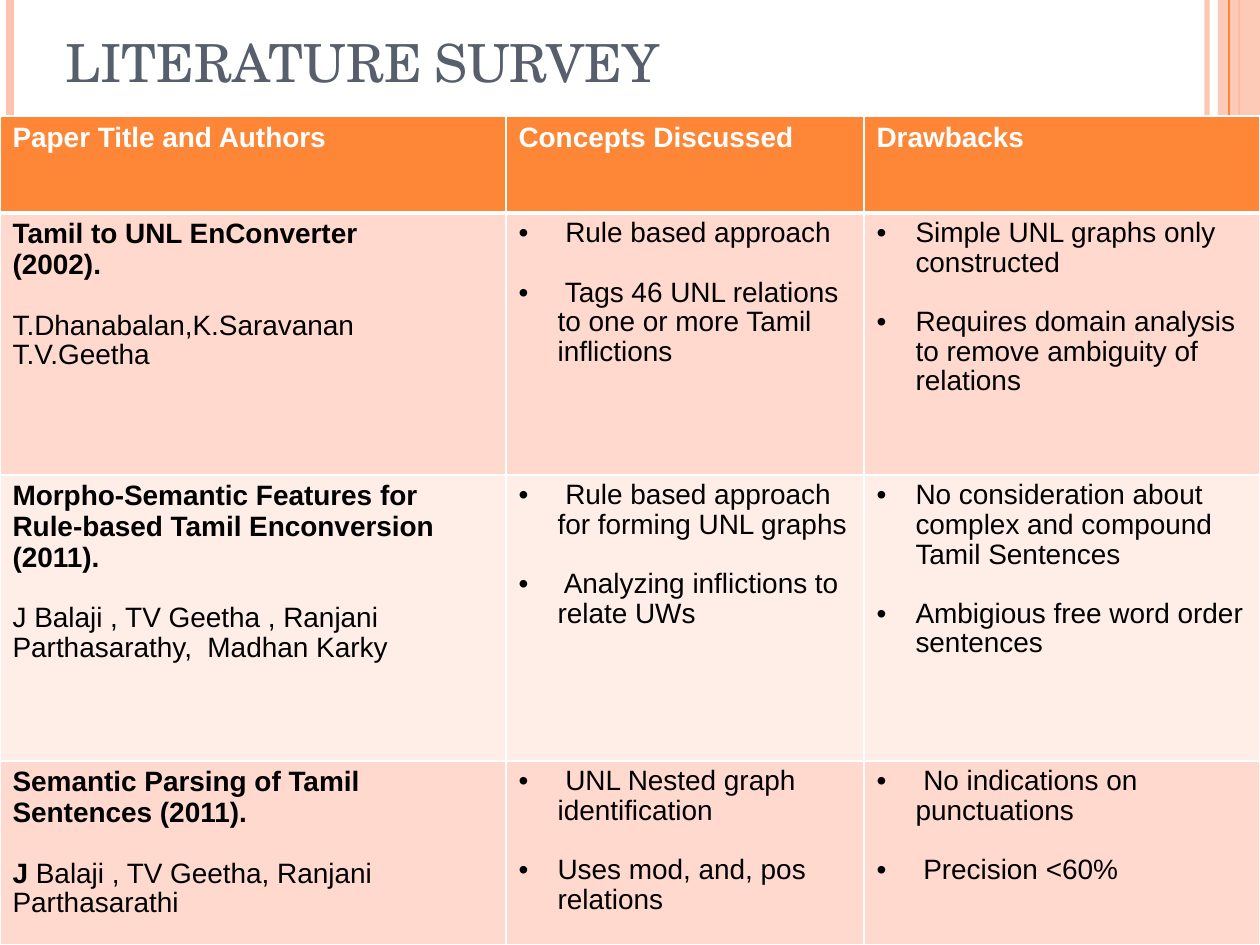
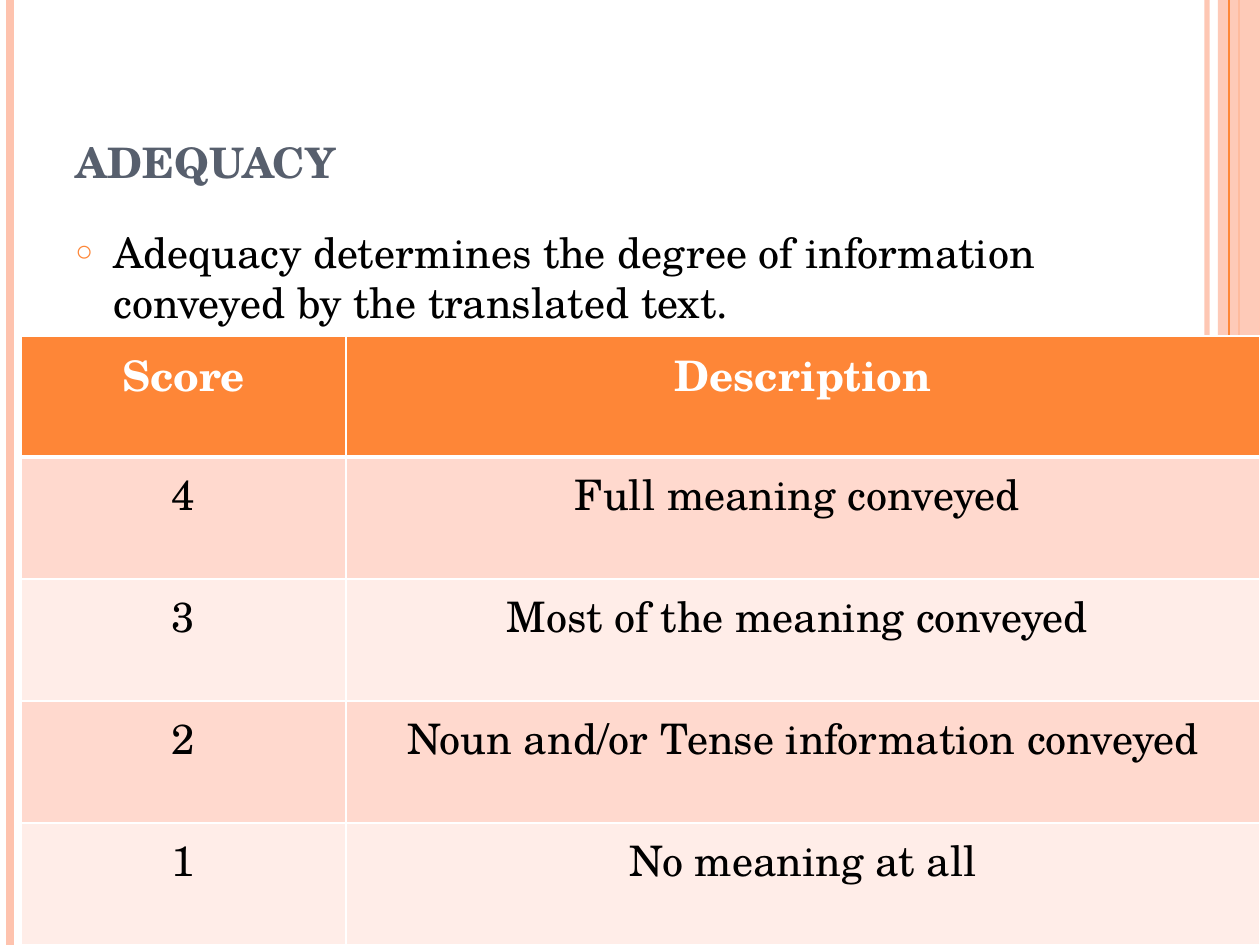
"""Builds two slides: a literature survey table and an adequacy score table."""
from typing import NamedTuple, Optional

from lxml.etree import SubElement
from pptx import Presentation
from pptx.dml.color import RGBColor
from pptx.enum.shapes import MSO_CONNECTOR, MSO_SHAPE
from pptx.enum.text import MSO_ANCHOR, PP_ALIGN
from pptx.oxml.ns import qn
from pptx.util import Emu, Pt

EMU_PER_PX = 914400 / 126
SLIDE_W, SLIDE_H = 1260, 945
ORANGE, PEACH, SLATE = "FE8637", "FEC3AE", "575F6D"
BLACK, WHITE = "000000", "FFFFFF"
BAND_FILLS = ("FFD9CE", "FFEDE8")
SERIF, SANS = "TeX Gyre Schola", "Arial"


class Stripe(NamedTuple):
    x: int
    color: str
    points: float
    opacity: int = 100


class Box(NamedTuple):
    left: int
    top: int
    width: int
    height: int


class Bullet(NamedTuple):
    char: str
    color: str
    indent: int
    percent: int = 100


class Para(NamedTuple):
    text: str
    size: int
    face: str
    color: str = BLACK
    bold: bool = False
    align: Optional[PP_ALIGN] = None
    spacing: Optional[float] = None
    before: float = 0
    bullet: Optional[Bullet] = None
    bold_lead: str = ""
    small_caps: bool = False


class Paper(NamedTuple):
    title: str
    authors: tuple[str, ...]
    concepts: tuple[str, ...]
    drawbacks: tuple[str, ...]
    bold_initial: str = ""


BACK_STRIPES = (Stripe(1207, PEACH, 3, 93), Stripe(10, PEACH, 4.5), Stripe(1239, ORANGE, 1.5))
FRONT_STRIPE = Stripe(1229, ORANGE, 0.75)
SIDE_BAND = Box(1218, 0, 42, SLIDE_H)
DOT = Bullet("•", BLACK, 39)
RING = Bullet("○", ORANGE, 38, 70)

SURVEY_HEADINGS = ("Paper Title and Authors", "Concepts Discussed", "Drawbacks")
PAPERS = (
    Paper("Tamil to UNL EnConverter\v(2002).",
          ("T.Dhanabalan,K.Saravanan", "T.V.Geetha"),
          (" Rule based approach", " Tags 46 UNL relations to one or more Tamil inflictions"),
          ("Simple UNL graphs only constructed",
           "Requires domain analysis to remove ambiguity of relations")),
    Paper("Morpho-Semantic Features for Rule-based Tamil Enconversion (2011).",
          ("J Balaji , TV Geetha , Ranjani Parthasarathy,  Madhan Karky",),
          (" Rule based approach for forming UNL graphs", " Analyzing inflictions to relate UWs"),
          ("No consideration about complex and compound Tamil Sentences",
           "Ambigious free word order sentences")),
    Paper("Semantic Parsing of Tamil Sentences (2011).",
          ("Balaji , TV Geetha, Ranjani Parthasarathi",),
          (" UNL Nested graph identification", "Uses mod, and, pos relations"),
          (" No indications on punctuations", " Precision <60%"),
          "J "),
)
SCORES = (
    ("Score", "Description"),
    ("4", "Full meaning conveyed "),
    ("3", "Most of the meaning conveyed "),
    ("2", "Noun and/or Tense information conveyed"),
    ("1", "No meaning at all"),
)


def px(length: float) -> Emu:
    """Turn pixels into EMU."""
    return Emu(round(length * EMU_PER_PX))


def rgb(value: str) -> RGBColor:
    """Turn a hex string into a colour."""
    return RGBColor.from_string(value)


def set_opacity(element, percent: int) -> None:
    """Make the first solid colour of an element partly transparent."""
    color = next(element.iter(qn("a:srgbClr")))
    SubElement(color, qn("a:alpha"), val=str(percent * 1000))


def draw_stripe(slide, stripe: Stripe) -> None:
    """Draw a vertical line over the full slide height."""
    line = slide.shapes.add_connector(
        MSO_CONNECTOR.STRAIGHT, px(stripe.x), 0, px(stripe.x), px(SLIDE_H))
    line.line.color.rgb = rgb(stripe.color)
    line.line.width = Pt(stripe.points)
    if stripe.opacity < 100:
        set_opacity(line.line._get_or_add_ln(), stripe.opacity)
    SubElement(line._element.spPr, qn("a:effectLst"))


def draw_frame(slide) -> None:
    """Draw the stripes and the side band that all slides share."""
    for stripe in BACK_STRIPES:
        draw_stripe(slide, stripe)
    band = slide.shapes.add_shape(MSO_SHAPE.RECTANGLE, *map(px, SIDE_BAND))
    band.shadow.inherit = False
    band.fill.solid()
    band.fill.fore_color.rgb = rgb(PEACH)
    set_opacity(band._element.spPr, 87)
    band.line.fill.background()
    draw_stripe(slide, FRONT_STRIPE)


def add_bullet(paragraph, bullet: Bullet) -> None:
    """Give a paragraph a hanging bullet."""
    props = paragraph._p.get_or_add_pPr()
    props.set("marL", str(px(bullet.indent)))
    props.set("indent", str(-px(bullet.indent)))
    color = SubElement(props, qn("a:buClr"))
    SubElement(color, qn("a:srgbClr"), val=bullet.color)
    SubElement(props, qn("a:buSzPct"), val=str(bullet.percent * 1000))
    SubElement(props, qn("a:buFont"), typeface=SANS)
    SubElement(props, qn("a:buChar"), char=bullet.char)


def write(frame, paras: list[Para]) -> None:
    """Fill a text frame with paragraphs."""
    for index, para in enumerate(paras):
        paragraph = frame.paragraphs[0] if index == 0 else frame.add_paragraph()
        if para.bold_lead:
            lead = paragraph.add_run()
            lead.text = para.bold_lead
            lead.font.bold = True
            paragraph.add_run().text = para.text
        else:
            paragraph.text = para.text
        if para.bullet:
            add_bullet(paragraph, para.bullet)
        paragraph.alignment = para.align
        paragraph.line_spacing = para.spacing
        paragraph.space_before = Pt(para.before)
        font = paragraph.font
        font.size, font.name, font.bold = Pt(para.size), para.face, para.bold
        font.color.rgb = rgb(para.color)
        if para.small_caps:
            paragraph._p.pPr.find(qn("a:defRPr")).set("cap", "small")


def add_text(slide, box: Box, para: Para, anchor: MSO_ANCHOR = MSO_ANCHOR.TOP) -> None:
    """Add a wrapping text box with one paragraph."""
    frame = slide.shapes.add_textbox(*map(px, box)).text_frame
    frame.word_wrap = True
    frame.vertical_anchor = anchor
    write(frame, [para])


def add_title(slide, box: Box, text: str, bold: bool = False) -> None:
    """Add a slide title in small capitals."""
    add_text(slide, box, Para(text, 30, SERIF, SLATE, bold, small_caps=True), MSO_ANCHOR.BOTTOM)


def set_borders(cell, top: float, bottom: float) -> None:
    """Draw white borders round a cell."""
    props = cell._tc.get_or_add_tcPr()
    sides = (("a:lnL", 1), ("a:lnR", 1), ("a:lnT", top), ("a:lnB", bottom))
    for index, (side, points) in enumerate(sides):
        line = props.makeelement(qn(side), {"w": str(Pt(points))})
        SubElement(SubElement(line, qn("a:solidFill")), qn("a:srgbClr"), val=WHITE)
        props.insert(index, line)


def add_grid(slide, left: int, top: int, widths: list[int], heights: list[int],
             rows: list[list[list[Para]]]) -> None:
    """Add a table with an orange heading and banded rows."""
    table = slide.shapes.add_table(
        len(rows), len(widths), px(left), px(top), px(sum(widths)), px(sum(heights))).table
    for column, width in zip(table.columns, widths):
        column.width = px(width)
    for r, (height, row) in enumerate(zip(heights, rows)):
        table.rows[r].height = px(height)
        for c, paras in enumerate(row):
            cell = table.cell(r, c)
            cell.fill.solid()
            cell.fill.fore_color.rgb = rgb(BAND_FILLS[(r - 1) % 2] if r else ORANGE)
            set_borders(cell, 3 if r == 1 else 1, 1 if r else 3)
            write(cell.text_frame, paras)


def paper_row(paper: Paper) -> list[list[Para]]:
    """Lay out one paper as three cells."""
    heading = [Para(paper.title, 16, SANS, bold=True, spacing=0.99)]
    authors = [Para(name, 16, SANS, spacing=0.95, before=0 if i else 17.5,
                    bold_lead=paper.bold_initial) for i, name in enumerate(paper.authors)]
    points = [[Para(point, 16, SANS, spacing=0.95, before=17 if i else 0, bullet=DOT)
               for i, point in enumerate(group)]
              for group in (paper.concepts, paper.drawbacks)]
    return [heading + authors, *points]


def build_survey(slide) -> None:
    """Build the literature survey slide."""
    draw_frame(slide)
    add_title(slide, Box(53, -100, 1029, 199), "LITERATURE SURVEY")
    headings = [[Para(text, 16, SANS, WHITE, True)] for text in SURVEY_HEADINGS]
    add_grid(slide, 0, 116, [506, 358, 396], [97, 262, 286, 184],
             [headings, *map(paper_row, PAPERS)])


def build_adequacy(slide) -> None:
    """Build the adequacy score slide."""
    draw_frame(slide)
    add_title(slide, Box(63, 38, 1029, 157), "adequacy", bold=True)
    add_text(slide, Box(63, 220, 1029, 672), Para(
        "Adequacy determines the degree of information conveyed by the translated text.",
        24, SERIF, before=6, bullet=RING))
    rows = [[[Para(text, 24, SERIF, BLACK if r else WHITE, r == 0, PP_ALIGN.CENTER)]
             for text in row] for r, row in enumerate(SCORES)]
    add_grid(slide, 21, 336, [325, 914], [121] + [122] * 4, rows)


def main() -> None:
    """Build and save the presentation."""
    deck = Presentation()
    deck.slide_width, deck.slide_height = px(SLIDE_W), px(SLIDE_H)
    blank = deck.slide_layouts[6]
    for build in (build_survey, build_adequacy):
        build(deck.slides.add_slide(blank))
    deck.save("out.pptx")


if __name__ == "__main__":
    main()
